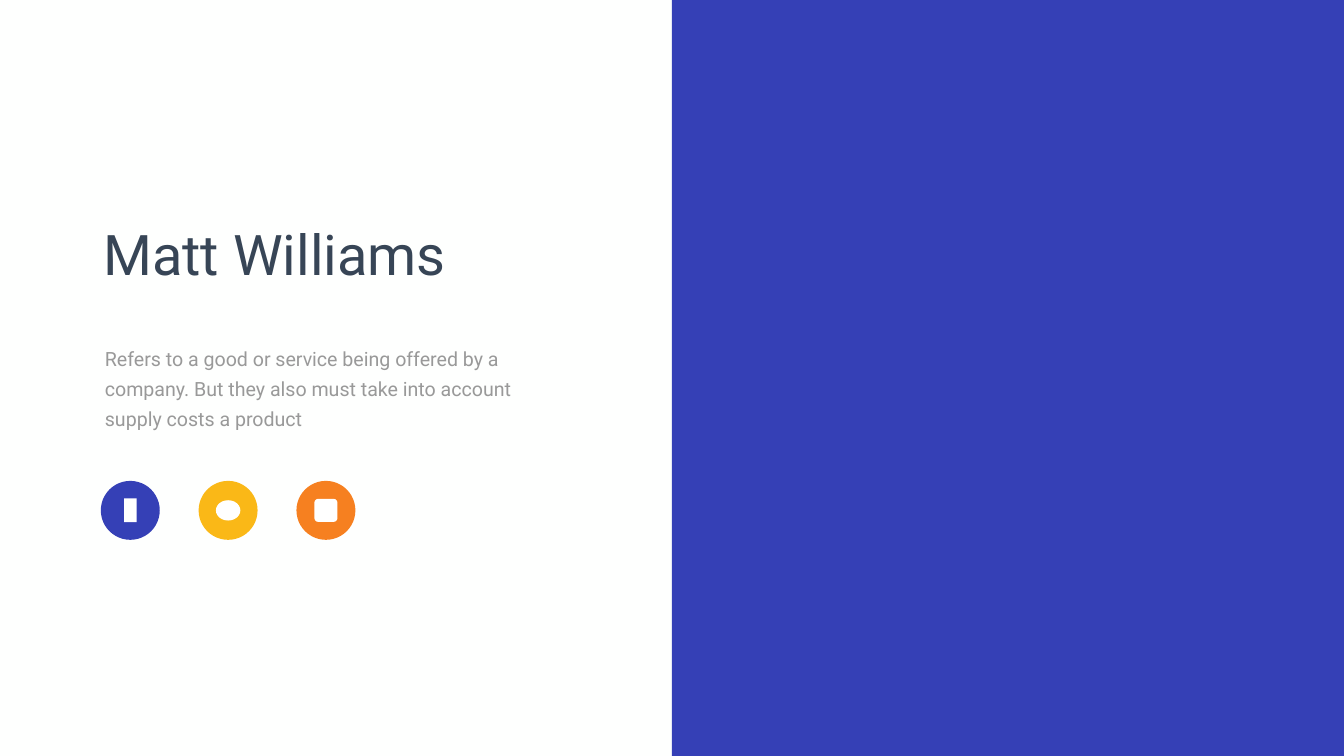
from pptx import Presentation
from pptx.dml.color import RGBColor
from pptx.enum.shapes import MSO_SHAPE
from pptx.enum.text import MSO_ANCHOR, MSO_AUTO_SIZE, PP_ALIGN
from pptx.util import Pt

RECTANGLE = MSO_SHAPE.RECTANGLE
OVAL = MSO_SHAPE.OVAL
ROUNDED = MSO_SHAPE.ROUNDED_RECTANGLE
MIDDLE = MSO_ANCHOR.MIDDLE
NO_AUTOFIT = MSO_AUTO_SIZE.NONE
LEFT = PP_ALIGN.LEFT

PAPER = RGBColor(0xFE, 0xFF, 0xFE)
WHITE = RGBColor(0xFF, 0xFF, 0xFF)
BLUE = RGBColor(0x35, 0x40, 0xB6)
YELLOW = RGBColor(0xFA, 0xB8, 0x17)
ORANGE = RGBColor(0xF6, 0x80, 0x20)
SLATE = RGBColor(0x37, 0x45, 0x56)
GRAY = RGBColor(0x99, 0x99, 0x99)
FONT = "Roboto"

WIDTH, HEIGHT = 1919.52, 1080

prs = Presentation()
prs.slide_width, prs.slide_height = Pt(WIDTH), Pt(HEIGHT)
slide = prs.slides.add_slide(prs.slide_layouts[5])
slide.background.fill.solid()
slide.background.fill.fore_color.rgb = PAPER


def add_plain(kind, left, top, width, height, color):
    shape = slide.shapes.add_shape(kind, Pt(left), Pt(top), Pt(width), Pt(height))
    shape.shadow.inherit = False
    shape.fill.solid()
    shape.fill.fore_color.rgb = color
    shape.line.fill.background()
    return shape


def style(paragraph, size, color):
    paragraph.alignment = LEFT
    paragraph.font.name = FONT
    paragraph.font.size = Pt(size)
    paragraph.font.color.rgb = color


# Right half
add_plain(RECTANGLE, WIDTH / 2, 0, WIDTH / 2, HEIGHT, BLUE)

# Name
name = slide.shapes.title
name.left, name.top, name.width, name.height = Pt(140.4), Pt(309), Pt(556.6), Pt(104.4)
name.text_frame.text = "Matt Williams"
name.text_frame.auto_size = NO_AUTOFIT
name.text_frame.vertical_anchor = MIDDLE
style(name.text_frame.paragraphs[0], 80, SLATE)

# Description
description = slide.shapes.add_textbox(Pt(132.5), Pt(478), Pt(625.7), Pt(144)).text_frame
description.word_wrap = True
description.margin_left = description.margin_right = Pt(17.3)
description.margin_top = description.margin_bottom = Pt(8.6)
description.text = (
    "Refers to a good or service being offered by a company. "
    "But they also must take into account supply costs a product"
)
style(description.paragraphs[0], 28, GRAY)
description.paragraphs[0].line_spacing = Pt(43)

# Social buttons, each with a plain mark in its centre
BUTTON_LEFT, BUTTON_TOP, BUTTON, STEP = 144, 687, 84.2, 139.7
buttons = [(BLUE, RECTANGLE, 18, 34), (YELLOW, OVAL, 35, 29), (ORANGE, ROUNDED, 33, 33)]
for i, (color, mark, width, height) in enumerate(buttons):
    left = BUTTON_LEFT + i * STEP
    add_plain(OVAL, left, BUTTON_TOP, BUTTON, BUTTON, color)
    add_plain(mark, left + (BUTTON - width) / 2, BUTTON_TOP + (BUTTON - height) / 2,
              width, height, WHITE)

prs.save("out.pptx")
